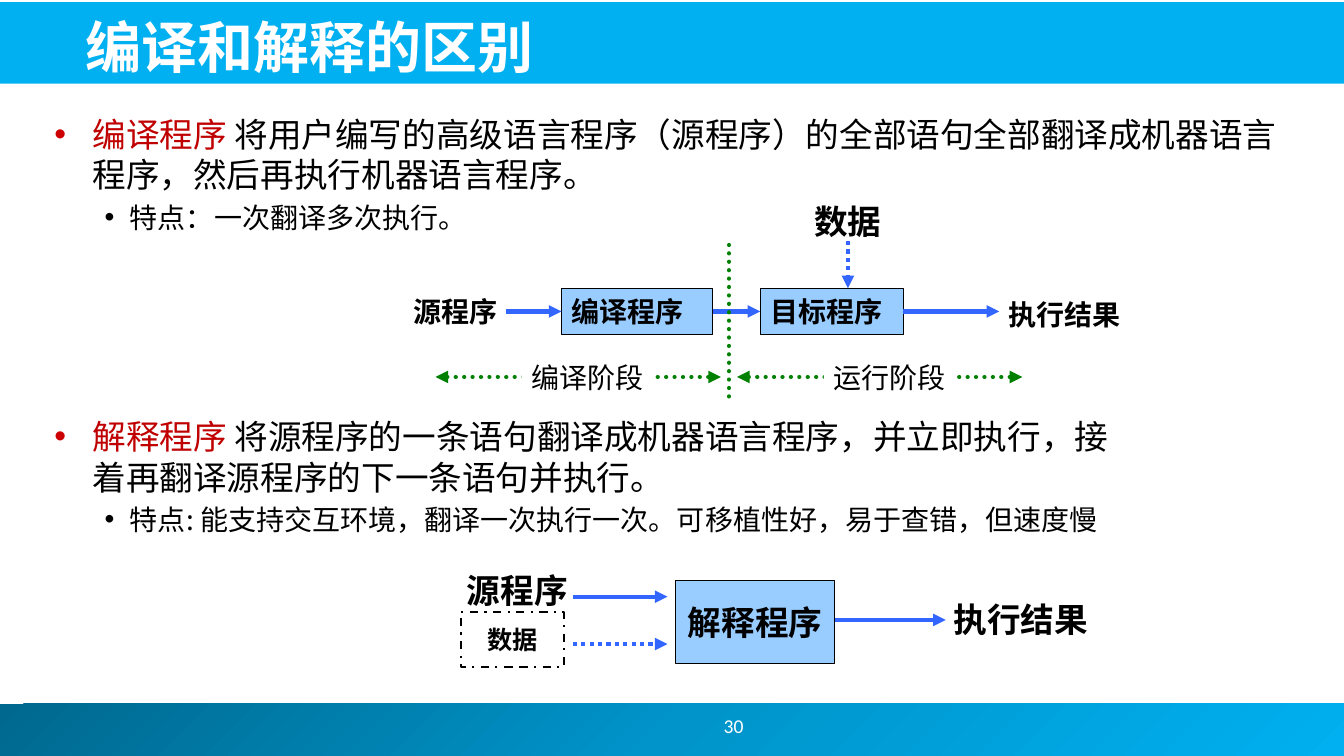
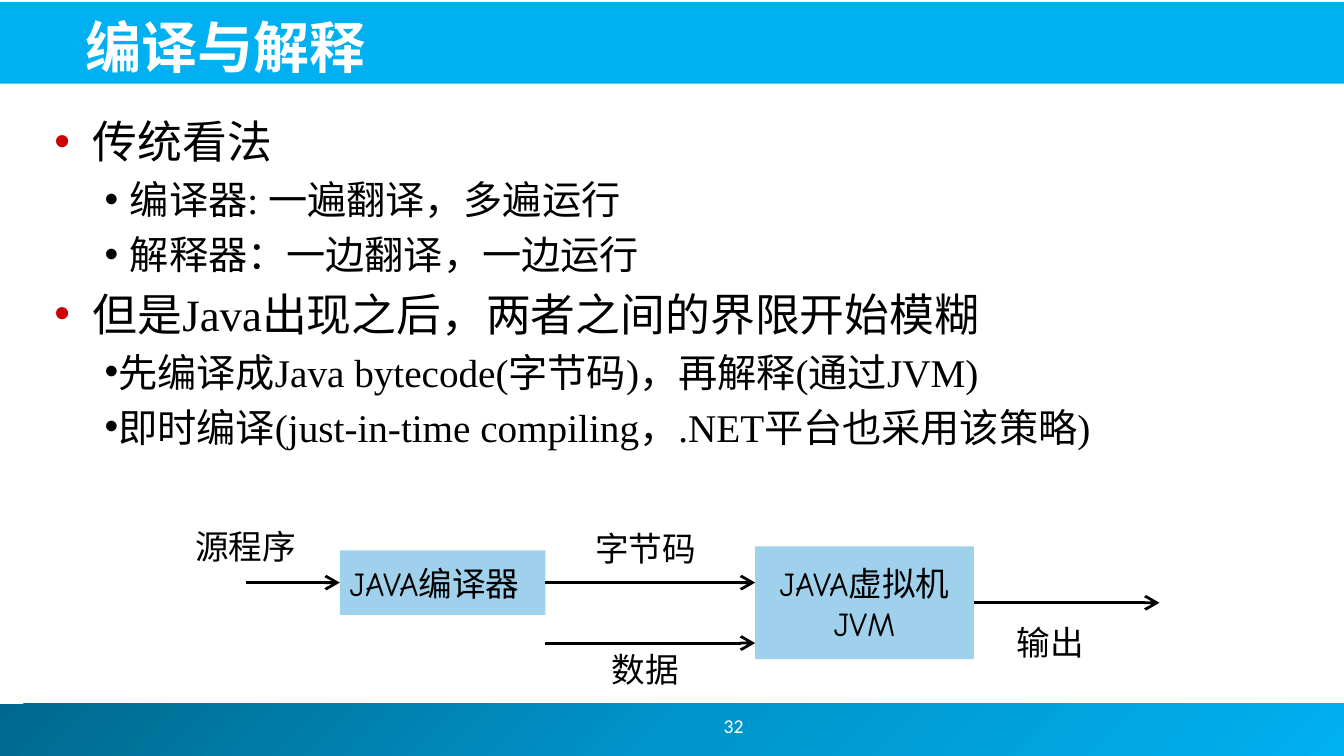
from dataclasses import dataclass
from typing import Optional

import pptx
import pptx.dml.color
import pptx.enum.dml
import pptx.enum.lang
import pptx.enum.shapes
import pptx.enum.text
import pptx.oxml
import pptx.oxml.ns
import pptx.util
from lxml import etree

RGB = pptx.dml.color.RGBColor
DASH = pptx.enum.dml.MSO_LINE
ALIGN = pptx.enum.text.PP_ALIGN
ANCHOR = pptx.enum.text.MSO_ANCHOR
RECTANGLE = pptx.enum.shapes.MSO_SHAPE.RECTANGLE
STRAIGHT = pptx.enum.shapes.MSO_CONNECTOR.STRAIGHT
CHINESE = pptx.enum.lang.MSO_LANGUAGE_ID.SIMPLIFIED_CHINESE
qn = pptx.oxml.ns.qn

PX = 9144  # EMU, 100 px to the inch
SLIDE_W, SLIDE_H = 1333, 750
LEFT, RIGHT = 1, 3  # connection sites

WHITE = RGB(0xFF, 0xFF, 0xFF)
BLACK = RGB(0, 0, 0)
SKY = RGB(0x00, 0xB0, 0xF0)
FOOTER_STOPS = ((0, RGB(0x00, 0x68, 0x8E)), (50, RGB(0x00, 0x94, 0xCA)), (100, SKY))
BULLET_RED = RGB(0xCC, 0, 0)
TERM_RED = RGB(0xC0, 0, 0)
ARROW_BLUE = RGB(0x33, 0x66, 0xFF)
STAGE_GREEN = RGB(0, 0x80, 0)
BOX_BLUE = RGB(0x99, 0xCC, 0xFF)
JAVA_BLUE = RGB(0x9F, 0xD0, 0xEC)

CJK = "Noto Sans CJK JP"
SERIF = "Times New Roman"
COMIC = "Comic Neue"
LINE_FACTOR = 1.2


@dataclass(frozen=True)
class Run:
    text: str
    color: RGB = BLACK
    font: str = CJK


@dataclass(frozen=True)
class Bullet:
    runs: tuple[Run, ...]
    size: int
    level: int = 0
    margin: int = 38
    hang: int = 38


@dataclass(frozen=True)
class Label:
    lines: tuple[tuple[Run, ...], ...]
    left: int
    top: int
    width: int
    height: int
    size: int = 24
    bold: bool = False
    align: ALIGN = ALIGN.LEFT
    wrap: bool = True
    fill: Optional[RGB] = None
    border: Optional[float] = None
    dash: Optional[DASH] = None


@dataclass(frozen=True)
class Arrow:
    x1: int
    y1: int
    x2: int
    y2: int
    color: RGB = ARROW_BLUE
    width: int = 3
    dash: Optional[DASH] = None
    head: Optional[str] = None
    tail: Optional[str] = "triangle"
    cap: str = "flat"
    tip: str = "med"


def px(*lengths: int) -> list[int]:
    return [pptx.util.Emu(length * PX) for length in lengths]


def add_run(para, run: Run, size: int, bold: bool = False) -> None:
    span = para.add_run()
    span.text = run.text
    font = span.font
    font.size = pptx.util.Pt(size)
    font.bold = bold
    font.color.rgb = run.color
    font.name = run.font
    font.language_id = CHINESE
    latin = font._element.find(qn("a:latin"))
    latin.addnext(etree.Element(qn("a:ea"), typeface=CJK))


def fill_gradient(shape, stops) -> None:
    """Fill with a diagonal gradient of (percent, colour) stops."""
    shape.fill.background()
    marks = "".join(
        f'<a:gs pos="{percent * 1000}"><a:srgbClr val="{color}"/></a:gs>'
        for percent, color in stops
    )
    gradient = pptx.oxml.parse_xml(
        f'<a:gradFill {pptx.oxml.ns.nsdecls("a")} rotWithShape="1">'
        f'<a:gsLst>{marks}</a:gsLst><a:lin ang="2700000" scaled="0"/></a:gradFill>'
    )
    properties = shape._element.spPr
    properties.replace(properties.find(qn("a:noFill")), gradient)


def add_band(slide, top: int, height: int):
    """Add a borderless full-width band behind everything else."""
    band = slide.shapes.add_shape(RECTANGLE, *px(0, top, SLIDE_W + 1, height))
    band.shadow.inherit = False
    band.line.fill.background()
    slide.shapes._spTree.insert(2, band._element)
    return band


def add_label(slide, label: Label):
    place = px(label.left, label.top, label.width, label.height)
    if label.fill is None and label.border is None:
        box = slide.shapes.add_textbox(*place)
    else:
        box = slide.shapes.add_shape(RECTANGLE, *place)
        box.shadow.inherit = False
        if label.fill is None:
            box.fill.background()
        else:
            box.fill.solid()
            box.fill.fore_color.rgb = label.fill
        if label.border is None:
            box.line.fill.background()
        else:
            box.line.color.rgb = BLACK
            box.line.width = pptx.util.Pt(label.border)
            box.line.dash_style = label.dash
    frame = box.text_frame
    frame.word_wrap = label.wrap
    frame.vertical_anchor = ANCHOR.MIDDLE
    for index, runs in enumerate(label.lines):
        para = frame.add_paragraph() if index else frame.paragraphs[0]
        para.alignment = label.align
        if len(label.lines) > 1:
            para.line_spacing = pptx.util.Pt(label.size * LINE_FACTOR)
        for run in runs:
            add_run(para, run, label.size, label.bold)
    return box


def add_arrow(slide, arrow: Arrow, start=None, end=None) -> None:
    """Draw a line, joined to the right side of start and the left side of end."""
    line = slide.shapes.add_connector(STRAIGHT, *px(arrow.x1, arrow.y1, arrow.x2, arrow.y2))
    if start is not None:
        line.begin_connect(start, RIGHT)
    if end is not None:
        line.end_connect(end, LEFT)
    line.line.color.rgb = arrow.color
    line.line.width = pptx.util.Pt(arrow.width)
    line.line.dash_style = arrow.dash
    outline = line.line._get_or_add_ln()
    outline.set("cap", arrow.cap)
    for tag, kind in (("a:headEnd", arrow.head), ("a:tailEnd", arrow.tail)):
        if kind:
            etree.SubElement(outline, qn(tag), type=kind, w=arrow.tip, len=arrow.tip)
    etree.SubElement(line._element.spPr, qn("a:effectLst"))


def add_bullets(slide, left: int, top: int, width: int, height: int, bullets) -> None:
    frame = slide.shapes.add_textbox(*px(left, top, width, height)).text_frame
    frame.word_wrap = True
    for index, bullet in enumerate(bullets):
        para = frame.add_paragraph() if index else frame.paragraphs[0]
        para.level = bullet.level
        para.line_spacing = pptx.util.Pt(bullet.size * LINE_FACTOR)
        para.space_before = pptx.util.Pt(bullet.size * 0.2 if index else 0)
        properties = para._p.get_or_add_pPr()
        properties.set("marL", str(bullet.margin * PX))
        properties.set("indent", str(-bullet.hang * PX))
        color = etree.SubElement(properties, qn("a:buClr"))
        etree.SubElement(color, qn("a:srgbClr"), val=str(BLACK if bullet.level else BULLET_RED))
        etree.SubElement(properties, qn("a:buFont"), typeface="Arial")
        etree.SubElement(properties, qn("a:buChar"), char="•")
        for run in bullet.runs:
            add_run(para, run, bullet.size)


def add_slide(deck, heading: str, number: str):
    """Add a slide with the shared bands, title and page number."""
    slide = deck.slides.add_slide(deck.slide_layouts[5])
    title_band = add_band(slide, 2, 81)
    title_band.fill.solid()
    title_band.fill.fore_color.rgb = SKY
    fill_gradient(add_band(slide, 698, 52), FOOTER_STOPS)

    title = slide.shapes.title
    title.left, title.top, title.width, title.height = px(75, 6, 1214, 79)
    frame = title.text_frame
    frame.auto_size = pptx.enum.text.MSO_AUTO_SIZE.NONE
    frame.vertical_anchor = ANCHOR.MIDDLE
    frame.paragraphs[0].alignment = ALIGN.LEFT
    add_run(frame.paragraphs[0], Run(heading, WHITE), 40, bold=True)

    page = ((Run(number, WHITE, "Calibri"),),)
    add_label(slide, Label(page, 583, 695, 289, 50, 14, align=ALIGN.CENTER))
    return slide


def words(text: str):
    return ((Run(text),),)


def build_difference(deck) -> None:
    slide = add_slide(deck, "编译和解释的区别", "30")
    add_bullets(slide, 44, 108, 1244, 200, (
        Bullet((Run("编译程序 ", TERM_RED), Run(
            "将用户编写的高级语言程序（源程序）的全部语句全部翻译成机器语言程序，然后再执行机器语言程序。")), 24),
        Bullet((Run("特点：一次翻译多次执行。"),), 20, 1, 75, 25),
    ))

    flow_y, box_h = 309, 46
    compiler, target = (
        add_label(slide, Label(words(text), left, flow_y - box_h // 2, width, box_h, 20, True,
                               fill=BOX_BLUE, border=0.75))
        for text, left, width in (("编译程序", 557, 150), ("目标程序", 754, 142))
    )
    for text, left, top, width in (("源程序", 400, 287, 118), ("执行结果", 990, 290, 142)):
        add_label(slide, Label(words(text), left, top, width, 43, 20, True))
    add_label(slide, Label(words("数据"), 774, 192, 134, 55, 24, True, ALIGN.CENTER))
    add_arrow(slide, Arrow(707, flow_y, 754, flow_y), compiler, target)
    add_arrow(slide, Arrow(502, flow_y, 557, flow_y), end=compiler)
    add_arrow(slide, Arrow(896, flow_y, 991, flow_y), start=target)
    add_arrow(slide, Arrow(841, 239, 841, 286, dash=DASH.ROUND_DOT))

    add_arrow(slide, Arrow(723, 243, 723, 400, STAGE_GREEN, dash=DASH.ROUND_DOT,
                           tail=None, cap="rnd"))
    for text, arrow_left, label_left in (("编译阶段", 432, 517), ("运行阶段", 731, 817)):
        add_arrow(slide, Arrow(arrow_left, 374, arrow_left + 283, 374, STAGE_GREEN,
                               dash=DASH.ROUND_DOT, head="triangle", cap="rnd"))
        add_label(slide, Label(words(text), label_left, 353, 131, 43, 20,
                               align=ALIGN.CENTER, wrap=False, fill=WHITE))

    add_bullets(slide, 44, 408, 1080, 171, (
        Bullet((Run("解释程序 ", TERM_RED), Run(
            "将源程序的一条语句翻译成机器语言程序，并立即执行，接着再翻译源程序的下一条语句并执行。")), 24),
        Bullet((Run("特点: 能支持交互环境，翻译一次执行一次。可移植性好，易于查错，但速度慢"),), 20, 1, 75, 25),
    ))

    add_label(slide, Label(words("解释程序"), 670, 576, 158, 82, 24, True, ALIGN.CENTER, False,
                           BOX_BLUE, 0.75))
    for text, left, top, width in (("源程序", 442, 560, 142), ("执行结果", 922, 589, 181)):
        add_label(slide, Label(words(text), left, top, width, 50, 24, True, ALIGN.CENTER))
    add_label(slide, Label(words("数据"), 457, 607, 102, 55, 18, True, ALIGN.CENTER, False,
                           border=1.5, dash=DASH.DASH_DOT))
    add_arrow(slide, Arrow(568, 592, 662, 592))
    add_arrow(slide, Arrow(568, 639, 662, 639, dash=DASH.ROUND_DOT))
    add_arrow(slide, Arrow(828, 615, 938, 615))


def build_java(deck) -> None:
    slide = add_slide(deck, "编译与解释", "32")
    outline = (
        ("传统看法", 32, 0, 38, 38),
        ("编译器: 一遍翻译，多遍运行", 28, 1, 75, 25),
        ("解释器：一边翻译，一边运行", 28, 1, 75, 25),
        ("但是Java出现之后，两者之间的界限开始模糊", 32, 0, 38, 38),
        ("先编译成Java bytecode(字节码)，再解释(通过JVM)", 28, 1, 59, 9),
        ("即时编译(just-in-time compiling，.NET平台也采用该策略)", 28, 1, 59, 9),
    )
    add_bullets(slide, 44, 108, 1244, 381, [
        Bullet((Run(text, font=SERIF),), *layout) for text, *layout in outline
    ])

    compiler = add_label(slide, Label(
        ((Run("JAVA", font=COMIC), Run("编译器")),), 337, 546, 204, 64, fill=JAVA_BLUE))
    machine = add_label(slide, Label(
        ((Run("JAVA虚拟机", font=COMIC),), (Run("JVM", font=COMIC),)), 749, 542, 217, 112,
        align=ALIGN.CENTER, wrap=False, fill=JAVA_BLUE))
    for x1, x2, y, start, end in (
        (244, 337, 578, None, compiler),
        (541, 749, 578, compiler, None),
        (541, 749, 638, None, None),
        (966, 1150, 598, machine, None),
    ):
        add_arrow(slide, Arrow(x1, y, x2, y, BLACK, 2, tail="arrow", tip="lg"), start, end)
    for text, left, top, width in (("源程序", 183, 517, 121), ("数据", 596, 639, 88),
                                   ("字节码", 580, 519, 121), ("输出", 998, 612, 88)):
        add_label(slide, Label(words(text), left, top, width, 50, align=ALIGN.CENTER, wrap=False))


def main() -> None:
    deck = pptx.Presentation()
    deck.slide_width, deck.slide_height = px(SLIDE_W, SLIDE_H)
    build_difference(deck)
    build_java(deck)
    deck.save("out.pptx")


if __name__ == "__main__":
    main()
